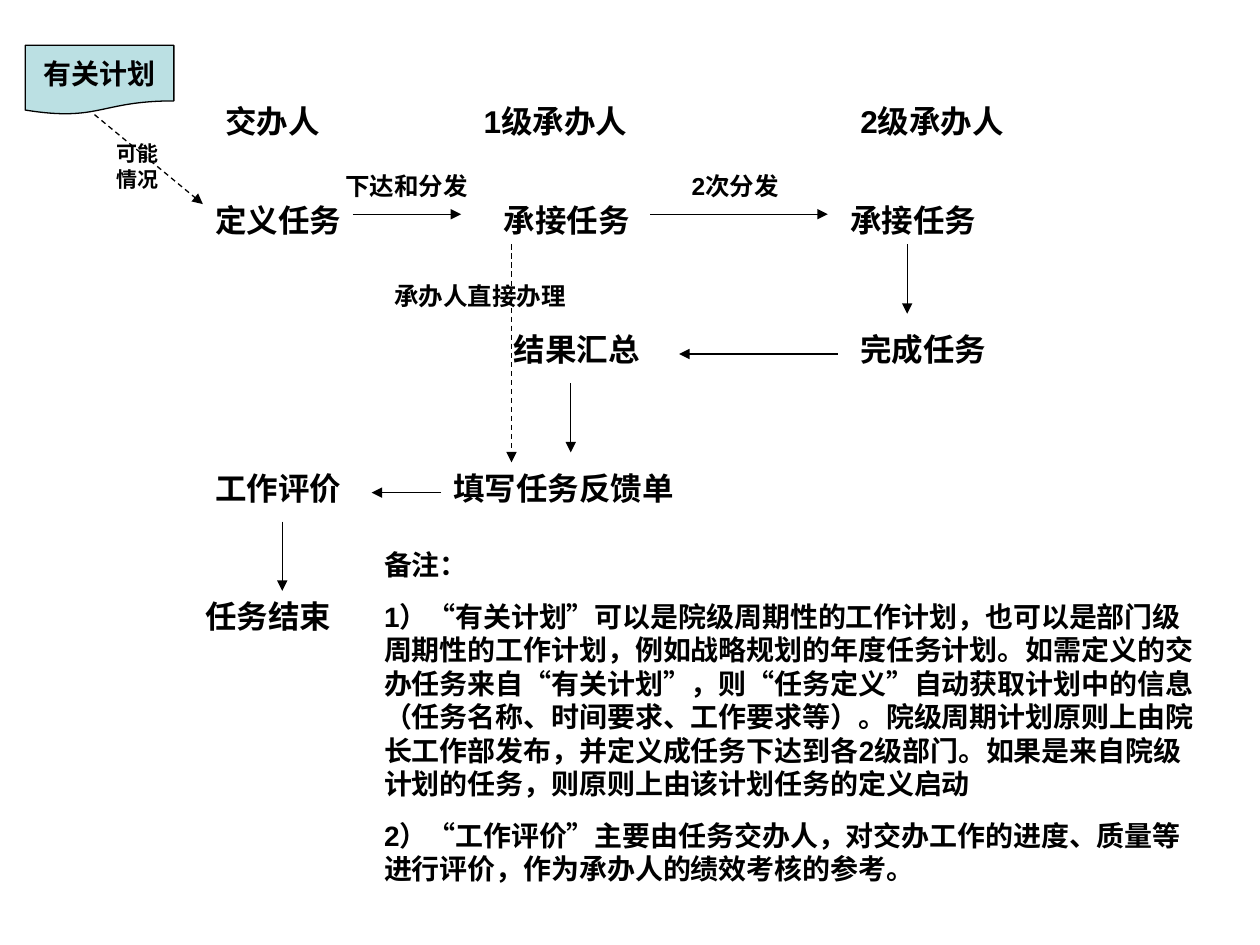
from lxml import etree
from pptx import Presentation
from pptx.dml.color import RGBColor
from pptx.enum.dml import MSO_LINE
from pptx.enum.lang import MSO_LANGUAGE_ID
from pptx.enum.shapes import MSO_CONNECTOR, MSO_SHAPE
from pptx.enum.text import MSO_ANCHOR, MSO_AUTO_SIZE, PP_ALIGN
from pptx.oxml.ns import qn
from pptx.util import Inches, Pt

STRAIGHT = MSO_CONNECTOR.STRAIGHT
DOCUMENT = MSO_SHAPE.FLOWCHART_DOCUMENT
DASH = MSO_LINE.DASH
CHINESE = MSO_LANGUAGE_ID.SIMPLIFIED_CHINESE
FIT_SHAPE = MSO_AUTO_SIZE.SHAPE_TO_FIT_TEXT
MIDDLE = MSO_ANCHOR.MIDDLE
LEFT, CENTER = PP_ALIGN.LEFT, PP_ALIGN.CENTER

FONT = "Arial"
BLACK, PALE_TEAL = "000000", "BBE0E3"
STEP_SIZE, NOTE_SIZE, LABEL_SIZE, HINT_SIZE = 18, 16, 14, 12

# Tops of the text rows and heights of the horizontal arrows
ROLE_Y, ASSIGN_Y, RESULT_Y, FEEDBACK_Y, END_Y = 0.76, 1.55, 2.57, 3.67, 4.69
ASSIGN_ARROW_Y, RESULT_ARROW_Y, FEEDBACK_ARROW_Y = 1.7, 2.81, 3.91
DROP = 0.55

# Text, left, top, width
STEPS = [
    ("交办人", 1.69, ROLE_Y, 1.26),
    ("1级承办人", 3.74, ROLE_Y, 1.73),
    ("2级承办人", 6.73, ROLE_Y, 1.73),
    ("定义任务", 1.61, ASSIGN_Y, 1.26),
    ("承接任务", 3.9, ASSIGN_Y, 1.26),
    ("承接任务", 6.65, ASSIGN_Y, 1.65),
    ("结果汇总", 3.98, RESULT_Y, 1.26),
    ("完成任务", 6.73, RESULT_Y, 1.34),
    ("工作评价", 1.61, FEEDBACK_Y, 1.26),
    ("填写任务反馈单", 3.5, FEEDBACK_Y, 2.05),
    ("任务结束", 1.53, END_Y, 1.34),
]
ARROW_LABELS = [
    ("下达和分发", 2.64, 1.31, 1.18),
    ("2次分发", 5.39, 1.31, 1.02),
    ("承办人直接办理", 3.03, 2.18, 1.57),
]
# Start x, end x, y
HORIZONTAL_ARROWS = [
    (2.8, 3.66, ASSIGN_ARROW_Y),
    (5.16, 6.57, ASSIGN_ARROW_Y),
    (6.65, 5.39, RESULT_ARROW_Y),
    (3.5, 2.95, FEEDBACK_ARROW_Y),
]
# x, start y
DOWN_ARROWS = [(7.2, 1.94), (4.53, 3.04), (2.24, 4.14)]
NOTES = [
    "备注：",
    "1）“有关计划”可以是院级周期性的工作计划，也可以是部门级周期性的工作计划，"
    "例如战略规划的年度任务计划。如需定义的交办任务来自“有关计划”，"
    "则“任务定义”自动获取计划中的信息（任务名称、时间要求、工作要求等）。"
    "院级周期计划原则上由院长工作部发布，并定义成任务下达到各2级部门。"
    "如果是来自院级计划的任务，则原则上由该计划任务的定义启动",
    "2）“工作评价”主要由任务交办人，对交办工作的进度、质量等进行评价，"
    "作为承办人的绩效考核的参考。",
]


def color(hex_code):
    return RGBColor.from_string(hex_code)


def write_paragraphs(frame, texts, size, align=LEFT):
    for index, text in enumerate(texts):
        paragraph = frame.add_paragraph() if index else frame.paragraphs[0]
        paragraph.alignment = align
        if index:
            paragraph.space_before = Pt(10)
        run = paragraph.add_run()
        run.text = text
        run.font.name = FONT
        run.font.size = Pt(size)
        run.font.bold = True
        run.font.color.rgb = color(BLACK)
        run.font.language_id = CHINESE


def add_text(slide, texts, left, top, width, height, size):
    box = slide.shapes.add_textbox(
        Inches(left), Inches(top), Inches(width), Inches(height))
    frame = box.text_frame
    frame.word_wrap = True
    frame.auto_size = FIT_SHAPE
    write_paragraphs(frame, texts, size)


def add_arrow(slide, start_x, start_y, end_x, end_y, dash=None):
    arrow = slide.shapes.add_connector(
        STRAIGHT, Inches(start_x), Inches(start_y), Inches(end_x), Inches(end_y))
    arrow.line.color.rgb = color(BLACK)
    arrow.line.width = Pt(0.75)
    if dash is not None:
        arrow.line.dash_style = dash
    line = arrow.line._get_or_add_ln()
    etree.SubElement(line, qn("a:tailEnd"), type="triangle")
    etree.SubElement(arrow._element.spPr, qn("a:effectLst"))


def add_document(slide, text, left, top, width, height):
    document = slide.shapes.add_shape(
        DOCUMENT, Inches(left), Inches(top), Inches(width), Inches(height))
    document.shadow.inherit = False
    document.fill.solid()
    document.fill.fore_color.rgb = color(PALE_TEAL)
    document.line.color.rgb = color(BLACK)
    document.line.width = Pt(0.75)
    frame = document.text_frame
    frame.word_wrap = False
    frame.vertical_anchor = MIDDLE
    write_paragraphs(frame, [text], NOTE_SIZE, CENTER)


def main():
    presentation = Presentation()
    presentation.slide_width = Inches(10)
    presentation.slide_height = Inches(7.5)
    slide = presentation.slides.add_slide(presentation.slide_layouts[6])

    for text, left, top, width in STEPS:
        add_text(slide, [text], left, top, width, 0.4, STEP_SIZE)
    for start_x, end_x, y in HORIZONTAL_ARROWS:
        add_arrow(slide, start_x, y, end_x, y)
    for x, start_y in DOWN_ARROWS:
        add_arrow(slide, x, start_y, x, start_y + DROP)

    add_document(slide, "有关计划", 0.2, 0.36, 1.18, 0.55)
    add_arrow(slide, 0.75, 0.91, 1.61, 1.62, DASH)
    add_text(slide, ["可能情况"], 0.83, 1.07, 0.63, 0.5, HINT_SIZE)

    add_text(slide, NOTES, 2.95, 4.3, 6.69, 2.78, NOTE_SIZE)
    add_arrow(slide, 4.06, 1.94, 4.06, FEEDBACK_Y, DASH)
    for text, left, top, width in ARROW_LABELS:
        add_text(slide, [text], left, top, width, 0.34, LABEL_SIZE)

    presentation.save("out.pptx")


if __name__ == "__main__":
    main()
